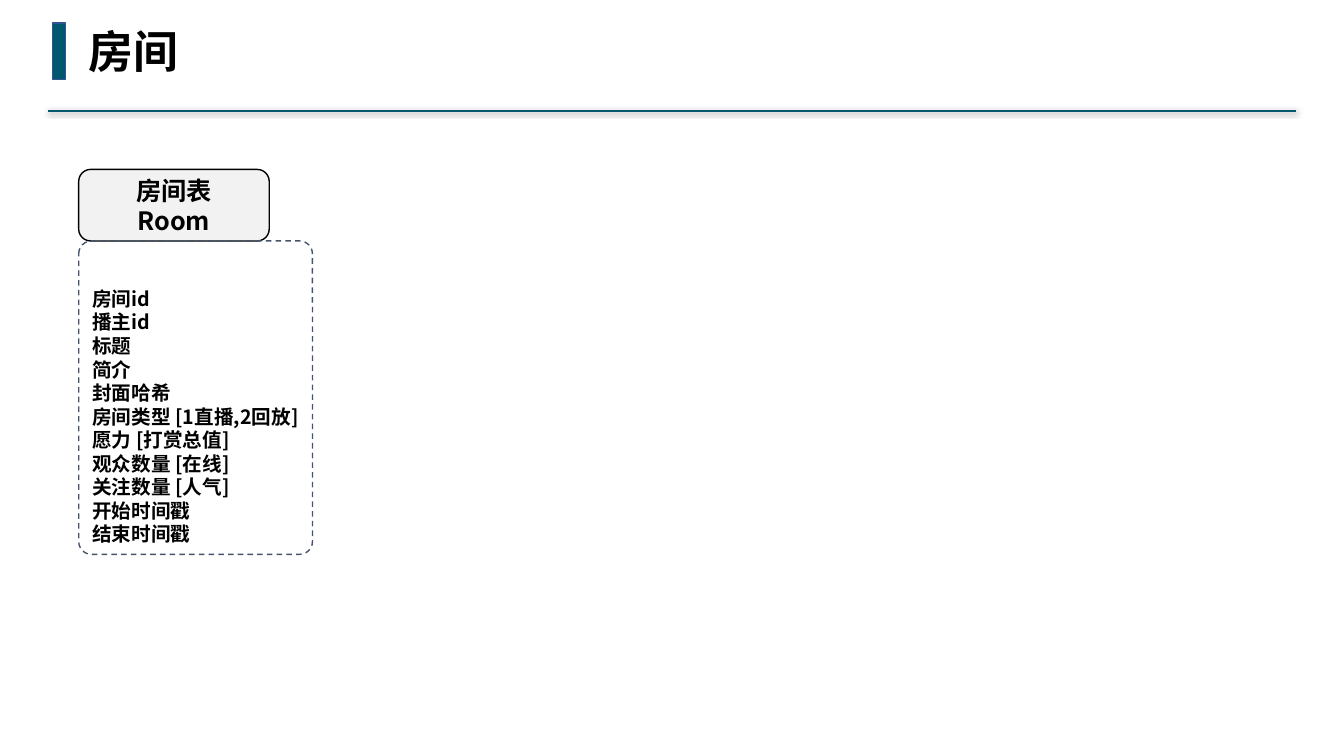
import dataclasses
import lxml.etree
import pptx
import pptx.dml.color
import pptx.enum.dml
import pptx.enum.shapes
import pptx.enum.text
import pptx.oxml.ns
import pptx.util

Pt = pptx.util.Pt
Shapes = pptx.enum.shapes.MSO_SHAPE
Align = pptx.enum.text.PP_ALIGN
Anchor = pptx.enum.text.MSO_ANCHOR
qn = pptx.oxml.ns.qn


@dataclasses.dataclass(frozen=True)
class Theme:
    accent: str = "00576E"
    accent_border: str = "325491"
    table_fill: str = "F2F2F2"
    field_border: str = "44546A"
    ink: str = "000000"
    title_font: str = "Noto Sans Mono"
    body_font: str = "Noto Sans CJK SC"
    title_size: int = 32
    table_size: int = 18
    field_size: int = 14


THEME = Theme()
FIELDS = [
    "房间id", "播主id", "标题", "简介", "封面哈希\v房间类型 [1直播,2回放]",
    "愿力 [打赏总值]", "观众数量 [在线]", "关注数量 [人气]", "开始时间戳", "结束时间戳",
]


def color(value):
    return pptx.dml.color.RGBColor.from_string(value)


def write(frame, lines, font_name, size, align, anchor, wrap=False):
    frame.text = "\n".join(lines)
    frame.word_wrap = wrap
    frame.vertical_anchor = anchor
    for paragraph in frame.paragraphs:
        paragraph.alignment = align
        font = paragraph.font
        font.name, font.size, font.bold = font_name, Pt(size), True
        font.color.rgb = color(THEME.ink)
        properties = paragraph._p.pPr.find(qn("a:defRPr"))
        lxml.etree.SubElement(properties, qn("a:ea"), typeface=font_name)


def add_box(slide, kind, box, border, fill=None):
    shape = slide.shapes.add_shape(kind, *map(Pt, box))
    shape.shadow.inherit = False
    if fill:
        shape.fill.solid()
        shape.fill.fore_color.rgb = color(fill)
    else:
        shape.fill.background()
    shape.line.color.rgb = color(border)
    shape.line.width = Pt(1)
    return shape


def add_rule(slide, left, right, top):
    rule = slide.shapes.add_connector(
        pptx.enum.shapes.MSO_CONNECTOR.STRAIGHT, Pt(right), Pt(top), Pt(left), Pt(top))
    rule.line.color.rgb = color(THEME.accent)
    rule.line.width = Pt(1.5)
    effects = lxml.etree.SubElement(rule._element.spPr, qn("a:effectLst"))
    shadow = lxml.etree.SubElement(
        effects, qn("a:outerShdw"), blurRad=str(Pt(4)), dist=str(Pt(1)),
        dir="5400000", rotWithShape="0")
    shade = lxml.etree.SubElement(shadow, qn("a:srgbClr"), val=THEME.ink)
    lxml.etree.SubElement(shade, qn("a:alpha"), val="40000")


def add_header(slide, box, title):
    left, top, width, height = box
    add_rule(slide, left, left + width, top + height)
    add_box(slide, Shapes.RECTANGLE, (left + 3.6, top + 3, 9.4, 40.3),
            THEME.accent_border, THEME.accent)
    title_box = slide.shapes.add_textbox(Pt(left + 22.4), Pt(top), Pt(79), Pt(46))
    write(title_box.text_frame, [title], THEME.title_font, THEME.title_size,
          Align.LEFT, Anchor.TOP)


def add_entity(slide, box, names, fields):
    left, top, width, height = box
    name_height = 51.1
    name_box = add_box(slide, Shapes.ROUNDED_RECTANGLE,
                       (left, top, 136.1, name_height), THEME.ink, THEME.table_fill)
    frame = name_box.text_frame
    frame.margin_left = frame.margin_right = Pt(2.9)
    frame.margin_top = frame.margin_bottom = Pt(2.9)
    write(frame, names, THEME.body_font, THEME.table_size, Align.CENTER, Anchor.MIDDLE)
    field_box = add_box(slide, Shapes.ROUNDED_RECTANGLE,
                        (left, top + name_height, width, height - name_height),
                        THEME.field_border)
    field_box.adjustments[0] = 0.055
    field_box.line.dash_style = pptx.enum.dml.MSO_LINE.DASH
    write(field_box.text_frame, fields, THEME.body_font, THEME.field_size,
          Align.LEFT, Anchor.BOTTOM, wrap=True)


presentation = pptx.Presentation()
presentation.slide_width, presentation.slide_height = Pt(960), Pt(540)
slide = presentation.slides.add_slide(presentation.slide_layouts[6])
add_header(slide, (34, 13.5, 892, 65.7), "房间")
add_entity(slide, (56.2, 121, 167, 275), ["房间表", "Room"], FIELDS)
presentation.save("out.pptx")
